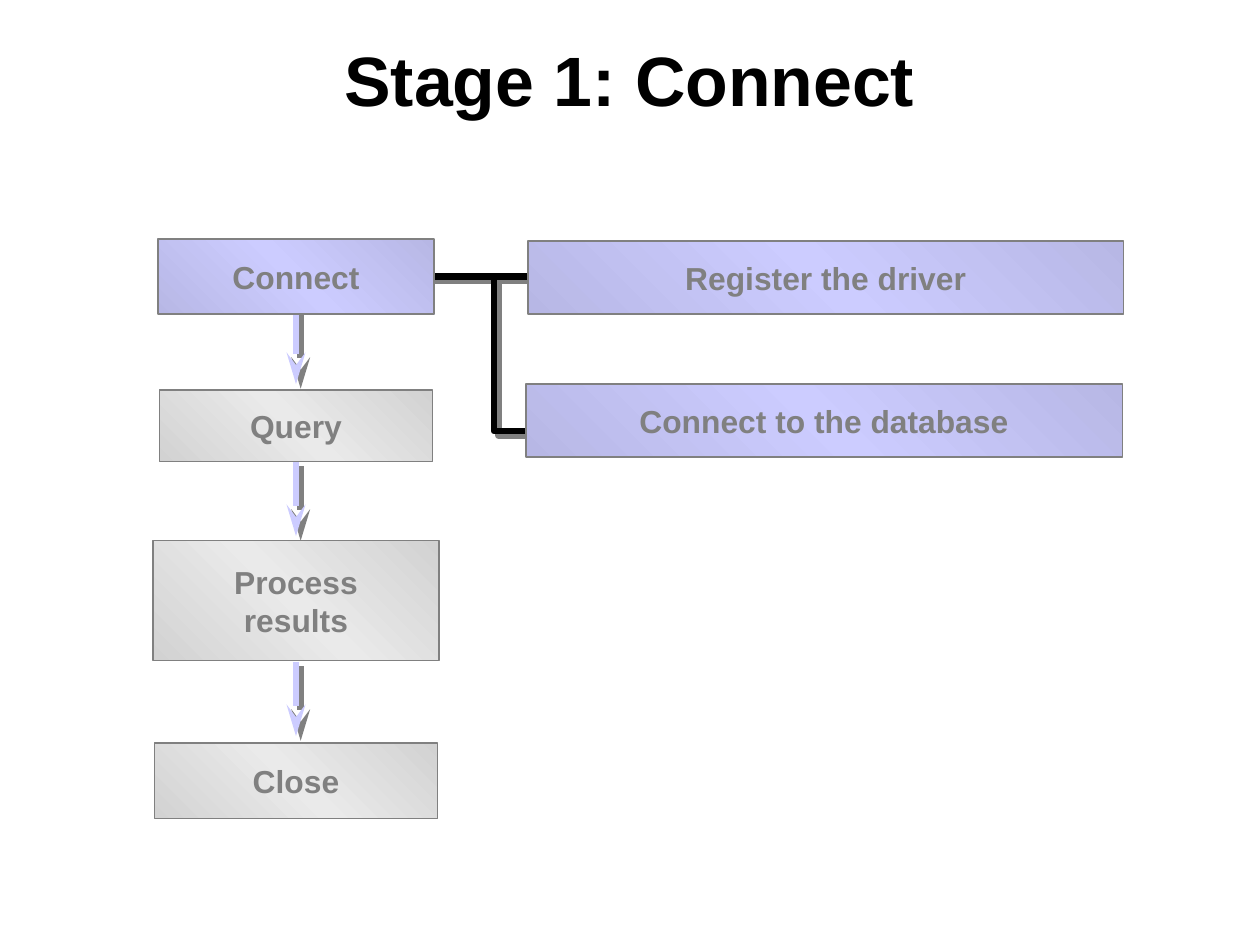
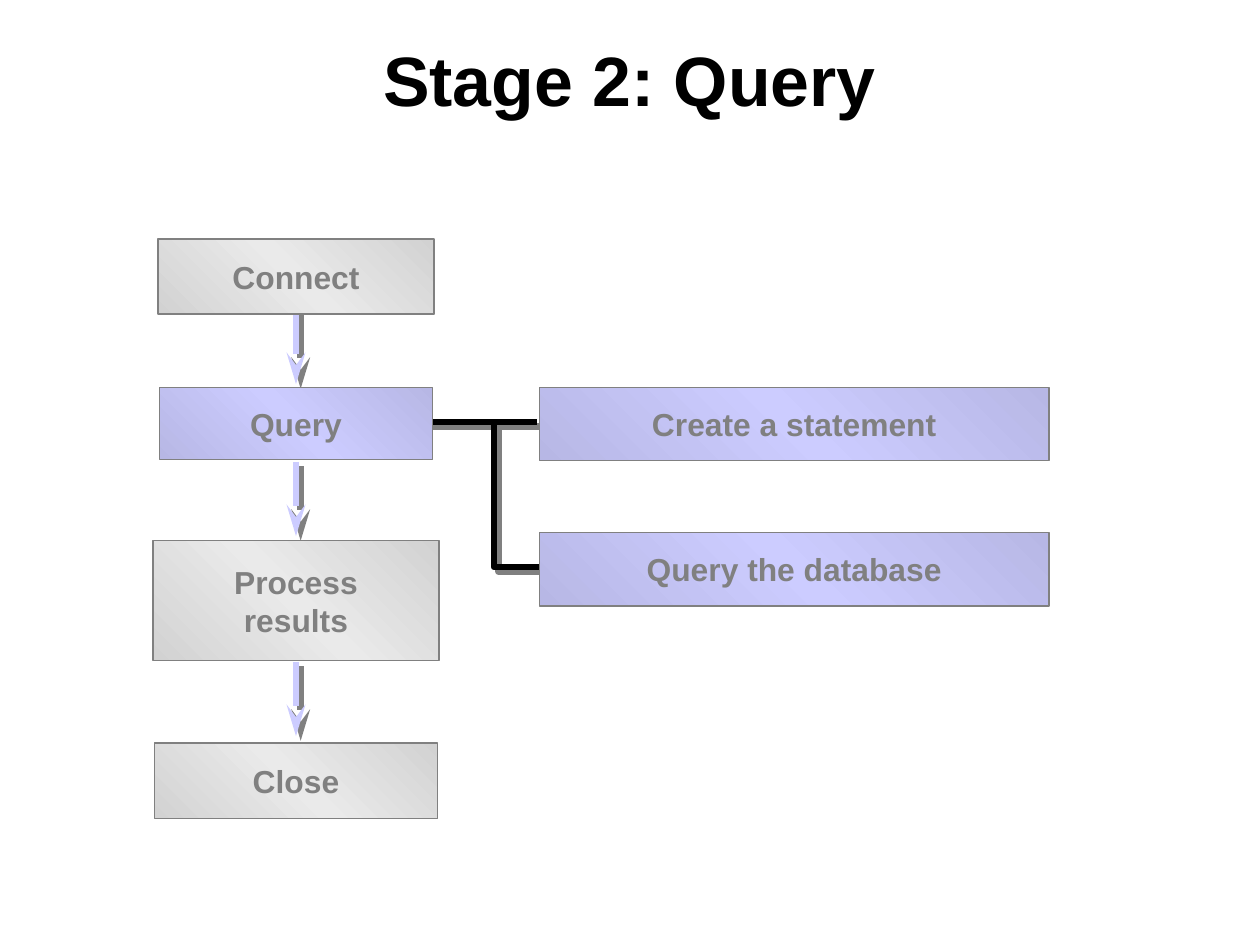
import copy

import pptx
import pptx.dml.color
import pptx.enum.shapes
import pptx.enum.text
import pptx.oxml
import pptx.oxml.ns
import pptx.util

Inches = pptx.util.Inches
Pt = pptx.util.Pt

PAGE_SIZE = (pptx.util.Emu(10080625), pptx.util.Emu(7559675))
COLOURS = {
    "title": "000000", "bracket": "000000", "arrow": "CCCCFF",
    "text": "808080", "outline": "808080", "shadow": "808080",
}
ACTIVE = ("B7B7E5", "CCCCFF")  # edge, middle
PLAIN = ("D2D2D2", "EAEAEA")
FONT = "Arial"

FLOW_CENTRE = 2.59
ARROW_TOPS = (2.71, 4.04, 5.79)
ARROW_LENGTH = 0.65
BRACKET_X = 4.32
BRACKET_END = 4.96
STUB_END = 4.70
DETAIL_HEIGHT = 0.64
STAGES = {  # name: top, width, height
    "Connect": (2.09, 2.42, 0.66),
    "Query": (3.41, 2.39, 0.63),
    "Process\nresults": (4.73, 2.50, 1.05),
    "Close": (6.50, 2.48, 0.66),
}
SLIDES = [
    {
        "title": "Stage 1: Connect", "active": "Connect", "lift": 0,
        "stub": (3.64, 2.42), "bracket": (2.44, 3.77),
        "details": [("Register the driver", 4.62, 2.11, 5.21),
                    ("Connect to the database", 4.60, 3.36, 5.22)],
    },
    {
        "title": "Stage 2: Query", "active": "Query", "lift": 0.02,
        "stub": (3.63, 3.69), "bracket": (3.70, 4.96),
        "details": [("Create a statement", 4.72, 3.39, 4.46),
                    ("Query the database", 4.72, 4.66, 4.46)],
    },
]


def rgb(value):
    return pptx.dml.color.RGBColor.from_string(value)


def xml(markup):
    """Parse one element, declaring the drawing namespace on it."""
    tag, rest = markup.split(" ", 1)
    return pptx.oxml.parse_xml(f"{tag} {pptx.oxml.ns.nsdecls('a')} {rest}")


def write(box, text, size, colour):
    frame = box.text_frame
    frame.margin_left = frame.margin_right = Inches(0.11)
    frame.margin_top = frame.margin_bottom = Inches(0.06)
    para = frame.paragraphs[0]
    para.alignment = pptx.enum.text.PP_ALIGN.CENTER
    for index, line in enumerate(text.split("\n")):
        if index:
            para.add_line_break()
        span = para.add_run()
        span.text = line
        span.font.name = FONT
        span.font.size = Pt(size)
        span.font.bold = True
        span.font.color.rgb = rgb(colour)
    return frame


def add_title(page, text):
    box = page.shapes.add_textbox(Inches(0.55), Inches(0.33), Inches(9.92), Inches(1.38))
    frame = write(box, text, 44, COLOURS["title"])
    frame.word_wrap = True
    frame.vertical_anchor = pptx.enum.text.MSO_ANCHOR.TOP
    frame.paragraphs[0].line_spacing = 0.93


def fill_gradient(box, edge, middle):
    """Diagonal fill: edge colour at both ends, middle colour halfway."""
    box.fill.gradient()
    box.fill.gradient_angle = 45
    last = box.fill._fill._gradFill.gsLst[-1]
    last.addprevious(copy.deepcopy(last))
    for stop, position, colour in zip(box.fill.gradient_stops, (0, 0.5, 1), (edge, middle, edge)):
        stop.position = position
        stop.color.rgb = rgb(colour)


def add_box(page, text, left, top, width, height, shades):
    box = page.shapes.add_shape(
        pptx.enum.shapes.MSO_SHAPE.RECTANGLE,
        Inches(left), Inches(top), Inches(width), Inches(height))
    box.shadow.inherit = False
    fill_gradient(box, *shades)
    box.line.color.rgb = rgb(COLOURS["outline"])
    box.line.width = Pt(1)
    frame = write(box, text, 20, COLOURS["text"])
    frame.word_wrap = False
    frame.vertical_anchor = pptx.enum.text.MSO_ANCHOR.MIDDLE


def style_line(line_shape, colour):
    """Thick line with a hard shadow to the lower right."""
    line_shape.line.color.rgb = rgb(colour)
    line_shape.line.width = Pt(4)
    line_shape._element.spPr.append(xml(
        f'<a:effectLst ><a:outerShdw dist="{Pt(4.2)}" dir="2700000" algn="ctr" rotWithShape="0">'
        f'<a:srgbClr val="{COLOURS["shadow"]}"/></a:outerShdw></a:effectLst>'))


def add_line(page, x1, y1, x2, y2, colour, arrow=False):
    line_shape = page.shapes.add_connector(
        pptx.enum.shapes.MSO_CONNECTOR.STRAIGHT,
        Inches(x1), Inches(y1), Inches(x2), Inches(y2))
    style_line(line_shape, colour)
    if arrow:
        line_shape.line._get_or_add_ln().append(
            xml('<a:tailEnd type="stealth" w="med" len="lg"/>'))


def add_bracket(page, top, bottom):
    builder = page.shapes.build_freeform(Inches(BRACKET_X), Inches(top))
    builder.add_line_segments(
        [(Inches(BRACKET_X), Inches(bottom)), (Inches(BRACKET_END), Inches(bottom))], close=False)
    bracket = builder.convert_to_shape()
    bracket.fill.background()
    style_line(bracket, COLOURS["bracket"])


def build_slide(deck, content):
    page = deck.slides.add_slide(deck.slide_layouts[6])
    add_title(page, content["title"])
    for top in ARROW_TOPS:
        add_line(page, FLOW_CENTRE, top, FLOW_CENTRE, top + ARROW_LENGTH,
                 COLOURS["arrow"], arrow=True)
    stub_left, stub_y = content["stub"]
    add_line(page, stub_left, stub_y, STUB_END, stub_y, COLOURS["bracket"])
    add_bracket(page, *content["bracket"])
    for name, (top, width, height) in STAGES.items():
        active = name == content["active"]
        if active:
            top -= content["lift"]
        add_box(page, name, FLOW_CENTRE - width / 2, top, width, height,
                ACTIVE if active else PLAIN)
    for text, left, top, width in content["details"]:
        add_box(page, text, left, top, width, DETAIL_HEIGHT, ACTIVE)


def main():
    deck = pptx.Presentation()
    deck.slide_width, deck.slide_height = PAGE_SIZE
    for content in SLIDES:
        build_slide(deck, content)
    deck.save("out.pptx")


if __name__ == "__main__":
    main()
